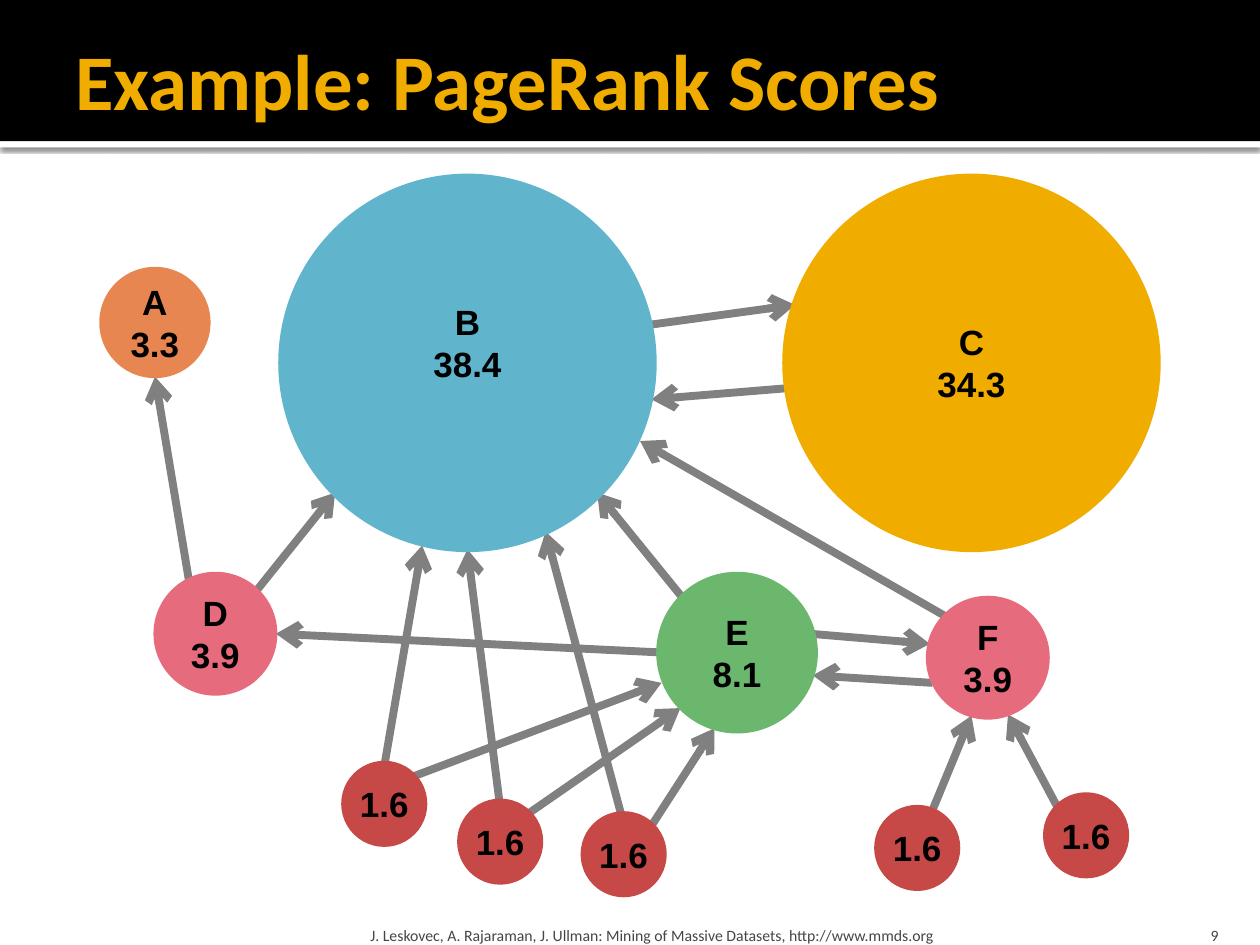
from dataclasses import dataclass

from lxml import etree
from pptx import Presentation
from pptx.dml.color import RGBColor
from pptx.enum.shapes import MSO_CONNECTOR, MSO_SHAPE
from pptx.enum.text import MSO_ANCHOR, PP_ALIGN
from pptx.oxml.ns import qn
from pptx.util import Inches, Pt

OVAL, RECT = MSO_SHAPE.OVAL, MSO_SHAPE.RECTANGLE
STRAIGHT = MSO_CONNECTOR.STRAIGHT
MIDDLE, BOTTOM = MSO_ANCHOR.MIDDLE, MSO_ANCHOR.BOTTOM
LEFT, CENTER, RIGHT = PP_ALIGN.LEFT, PP_ALIGN.CENTER, PP_ALIGN.RIGHT


@dataclass(frozen=True)
class Theme:
    black: str = "000000"
    white: str = "FFFFFF"
    gold: str = "F0AD00"
    blue: str = "60B5CC"
    green: str = "6BB76D"
    pink: str = "E66C7D"
    orange: str = "E88651"
    red: str = "C64847"
    gray: str = "808080"
    foot: str = "454545"
    head_font: str = "Calibri"
    node_font: str = "Arial"
    title_size: float = 45
    node_size: float = 20
    foot_size: float = 9
    link_width: float = 4.5
    rim_width: float = 6


@dataclass(frozen=True)
class Node:
    text: str
    left: float
    top: float
    size: float
    color: str
    lift: float = 0  # bottom inset that raises the label


@dataclass(frozen=True)
class Link:
    x1: float
    y1: float
    x2: float
    y2: float


@dataclass(frozen=True)
class Label:
    text: str
    box: tuple[float, float, float, float]
    inset: tuple[float, float, float, float]
    size: float
    color: str
    bold: bool = False
    anchor: MSO_ANCHOR = BOTTOM
    align: PP_ALIGN = LEFT


THEME = Theme()

LEAVES = [(2.75, 6.08), (3.67, 6.38), (4.65, 6.48), (6.98, 6.43), (8.32, 6.33)]

NODES = [
    Node("B\n38.4", 2.25, 1.42, 2.92, THEME.blue, lift=0.33),
    Node("C\n34.3", 6.25, 1.42, 2.92, THEME.gold),
    Node("E\n8.1", 5.25, 4.58, 1.2, THEME.green),
    Node("F\n3.9", 7.39, 4.77, 0.9, THEME.pink),
    Node("D\n3.9", 1.26, 4.58, 0.9, THEME.pink),
    Node("A\n3.3", 0.83, 2.16, 0.8, THEME.orange),
] + [Node("1.6", x, y, 0.6, THEME.red) for x, y in LEAVES]

LINKS = [
    Link(5.14, 2.58, 6.31, 2.42),  # B to C
    Link(6.26, 3.08, 5.17, 3.17),  # C to B
    Link(5.43, 4.76, 4.74, 3.91),  # E to B
    Link(2.01, 4.72, 2.66, 3.91),  # D to B
    Link(1.5, 4.61, 1.23, 2.99),  # D to A
    Link(3.05, 6.08, 3.35, 4.33),  # leaf 1 to B
    Link(3.26, 6.17, 5.25, 5.42),  # leaf 1 to E
    Link(5.28, 5.18, 2.19, 5.03),  # E to D
    Link(3.97, 6.41, 3.71, 4.36),  # leaf 2 to B
    Link(4.16, 6.48, 5.4, 5.62),  # leaf 2 to E
    Link(5.16, 6.57, 5.67, 5.78),  # leaf 3 to E
    Link(4.95, 6.54, 4.33, 4.22),  # leaf 3 to B
    Link(7.38, 6.48, 7.71, 5.68),  # leaf 4 to F
    Link(8.4, 6.42, 8, 5.67),  # leaf 5 to F
    Link(7.52, 4.9, 5.08, 3.5),  # F to B
    Link(7.4, 5.42, 6.45, 5.36),  # F to E
    Link(6.43, 5.03, 7.38, 5.11),  # E to F
]

LABELS = [
    Label("Example: PageRank Scores", (0.5, 0.17, 9, 0.92), (0.1, 0.05, 0.05, 0.05),
          THEME.title_size, THEME.gold, bold=True, anchor=MIDDLE),
    Label("9", (8.97, 7.2, 0.8, 0.3), (0.1, 0.05, 0.1, 0),
          THEME.foot_size, THEME.foot, align=RIGHT),
    Label("J. Leskovec, A. Rajaraman, J. Ullman: Mining of Massive Datasets, "
          "http://www.mmds.org", (2.89, 7.2, 6.02, 0.3), (0.05, 0.05, 0.05, 0),
          THEME.foot_size, THEME.foot),
]


def rgb(color: str) -> RGBColor:
    return RGBColor.from_string(color)


def set_text(frame, text: str, font: str, size: float, color: str, bold: bool,
             align: PP_ALIGN, anchor: MSO_ANCHOR, inset: tuple) -> None:
    frame.text = text
    frame.vertical_anchor = anchor
    (frame.margin_left, frame.margin_top,
     frame.margin_right, frame.margin_bottom) = map(Inches, inset)
    for para in frame.paragraphs:
        para.alignment = align
        for run in para.runs:
            run.font.name = font
            run.font.size = Pt(size)
            run.font.bold = bold
            run.font.color.rgb = rgb(color)


def add_band(slide, top: float, height: float, color: str):
    band = slide.shapes.add_shape(RECT, 0, Inches(top), Inches(10), Inches(height))
    band.shadow.inherit = False
    band.fill.solid()
    band.fill.fore_color.rgb = rgb(color)
    band.line.fill.background()
    return band


def cast_shade(shape) -> None:
    effects = shape._element.spPr.find(qn("a:effectLst"))
    shade = etree.SubElement(effects, qn("a:outerShdw"), blurRad=str(Pt(2.5)),
                             dist=str(Pt(0.8)), dir="5400000", rotWithShape="0")
    tint = etree.SubElement(shade, qn("a:srgbClr"), val=THEME.black)
    etree.SubElement(tint, qn("a:alpha"), val="60000")


def add_label(slide, label: Label) -> None:
    frame = slide.shapes.add_textbox(*map(Inches, label.box)).text_frame
    frame.word_wrap = True
    set_text(frame, label.text, THEME.head_font, label.size, label.color,
             label.bold, label.align, label.anchor, label.inset)


def add_link(slide, link: Link) -> None:
    ends = map(Inches, (link.x1, link.y1, link.x2, link.y2))
    arrow = slide.shapes.add_connector(STRAIGHT, *ends)
    arrow.line.color.rgb = rgb(THEME.gray)
    arrow.line.width = Pt(THEME.link_width)
    etree.SubElement(arrow.line._get_or_add_ln(), qn("a:tailEnd"), type="arrow")
    etree.SubElement(arrow._element.spPr, qn("a:effectLst"))


def add_node(slide, node: Node) -> None:
    size = Inches(node.size)
    disc = slide.shapes.add_shape(OVAL, Inches(node.left), Inches(node.top), size, size)
    disc.shadow.inherit = False
    disc.fill.solid()
    disc.fill.fore_color.rgb = rgb(node.color)
    disc.line.color.rgb = rgb(node.color)
    disc.line.width = Pt(THEME.rim_width)
    disc.text_frame.word_wrap = False
    set_text(disc.text_frame, node.text, THEME.node_font, THEME.node_size,
             THEME.black, True, CENTER, MIDDLE, (0, 0, 0, node.lift))


def main() -> None:
    deck = Presentation()
    deck.slide_width, deck.slide_height = Inches(10), Inches(7.5)
    slide = deck.slides.add_slide(deck.slide_layouts[6])

    # Header bands
    cast_shade(add_band(slide, 1.12, 0.05, THEME.white))
    add_band(slide, 0, 1.12, THEME.black)

    # Graph: links lie under the nodes
    for link in LINKS:
        add_link(slide, link)
    for node in NODES:
        add_node(slide, node)

    # Title and footer
    for label in LABELS:
        add_label(slide, label)

    deck.save("out.pptx")


if __name__ == "__main__":
    main()
